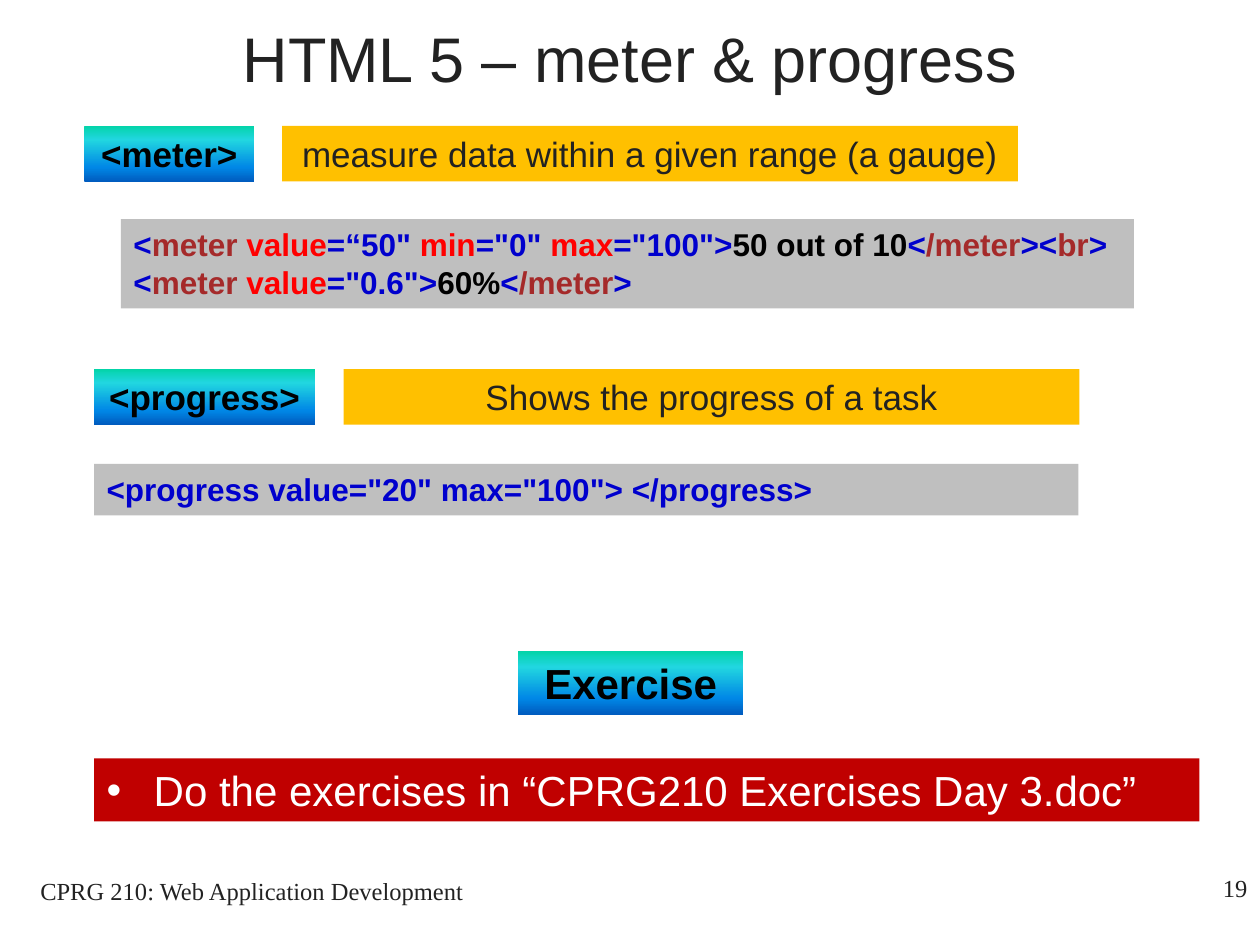
from copy import deepcopy
from dataclasses import dataclass
from typing import Optional

from lxml.etree import SubElement
from pptx import Presentation
from pptx.dml.color import RGBColor
from pptx.enum.shapes import MSO_SHAPE
from pptx.enum.text import MSO_ANCHOR, MSO_AUTO_SIZE, PP_ALIGN
from pptx.oxml.ns import qn
from pptx.util import Cm, Pt

COLORS = {
    "text": "222222", "black": "000000", "white": "FFFFFF",
    "amber": "FFC000", "gray": "BFBFBF", "red": "C00000",
    "symbol": "0000CD", "element": "A52A2A", "attribute": "FF0000",
}
TAG_GRADIENT = [(0, "03D4A8"), (25, "21D6E0"), (75, "0087E6"), (100, "005CBF")]
LEFT, CENTER, RIGHT = PP_ALIGN.LEFT, PP_ALIGN.CENTER, PP_ALIGN.RIGHT

METER_CODE = [
    ("<", "symbol"), ("meter", "element"), (" value", "attribute"),
    ("=“50\"", "symbol"), (" min", "attribute"), ("=\"0\"", "symbol"),
    (" max", "attribute"), ("=\"100\">", "symbol"), ("50 out of 10", "black"),
    ("<", "symbol"), ("/meter", "element"), ("><", "symbol"),
    ("br", "element"), (">\n<", "symbol"), ("meter", "element"),
    (" value", "attribute"), ("=\"0.6\">", "symbol"), ("60%", "black"),
    ("<", "symbol"), ("/meter", "element"), (">", "symbol"),
]
PROGRESS_CODE = [("<progress value=\"20\" max=\"100\"> </progress>", "symbol")]


@dataclass
class Style:
    size: int
    fill: Optional[str] = None  # a COLORS key, "gradient" or no fill
    bold: bool = False
    align: PP_ALIGN = CENTER
    font: str = "Arial"
    wrap: bool = True
    anchor: MSO_ANCHOR = MSO_ANCHOR.TOP
    bullet: bool = False


@dataclass
class Box:
    at: tuple  # left, top, width, height in cm
    runs: list
    style: Style


TITLE = Style(36, anchor=MSO_ANCHOR.MIDDLE)
TAG = Style(20, "gradient", bold=True, wrap=False)
HEADING = Style(24, "gradient", bold=True, wrap=False)
DESCRIPTION = Style(20, "amber")
CODE = Style(18, "gray", bold=True, align=LEFT)
TASK = Style(24, "red", align=LEFT, anchor=MSO_ANCHOR.MIDDLE, bullet=True)
FOOTER = Style(14, font="Times New Roman")
PAGE = Style(14, font="Times New Roman", align=RIGHT)

TITLE_BOX = Box((0, -0.43, 25.4, 3.18), [("HTML 5 – meter & progress", "text")], TITLE)
BOXES = [
    Box((20.12, 17.48, 5.28, 1.27), [("19", "text")], PAGE),
    Box((0, 17.53, 10.16, 1.27),
        [("CPRG 210: Web Application Development", "text")], FOOTER),
    Box((1.7, 2.54, 3.43, 1.12), [("<meter>", "black")], TAG),
    Box((5.69, 2.54, 14.83, 1.12),
        [("measure data within a given range (a gauge)", "text")], DESCRIPTION),
    Box((2.44, 4.42, 20.42, 1.8), METER_CODE, CODE),
    Box((1.9, 7.44, 4.45, 1.12), [("<progress>", "black")], TAG),
    Box((6.93, 7.44, 14.83, 1.12),
        [("Shows the progress of a task", "text")], DESCRIPTION),
    Box((1.9, 9.35, 19.84, 1.04), PROGRESS_CODE, CODE),
    Box((10.44, 13.13, 4.55, 1.27), [("Exercise", "black")], HEADING),
    Box((1.9, 15.29, 22.28, 1.27),
        [("Do the exercises in “CPRG210 Exercises Day 3.doc”", "white")], TASK),
]


def rgb(name: str) -> RGBColor:
    return RGBColor.from_string(COLORS[name])


def fill_gradient(fill) -> None:
    """Fill from top to bottom with the TAG_GRADIENT stops."""
    fill.gradient()
    fill.gradient_angle = 270
    stops = fill._xPr.find(qn("a:gradFill")).find(qn("a:gsLst"))
    first = deepcopy(stops[0])
    for stop in list(stops):
        stops.remove(stop)
    for pos, color in TAG_GRADIENT:
        gs = deepcopy(first)
        gs.set("pos", str(pos * 1000))
        gs.remove(gs[0])
        SubElement(gs, qn("a:srgbClr"), val=color)
        stops.append(gs)


def add_bullet(p) -> None:
    pPr = p._p.get_or_add_pPr()
    pPr.set("marL", str(Cm(0.95)))
    pPr.set("indent", str(-Cm(0.95)))
    SubElement(pPr, qn("a:buFont"), typeface="Arial")
    SubElement(pPr, qn("a:buChar"), char="•")


def write_text(sp, box: Box) -> None:
    style = box.style
    tf = sp.text_frame
    frame_format = {"word_wrap": style.wrap, "vertical_anchor": style.anchor,
                    "auto_size": MSO_AUTO_SIZE.NONE}
    for key, value in frame_format.items():
        setattr(tf, key, value)
    p = tf.paragraphs[0]
    p.alignment = style.align
    if style.bullet:
        add_bullet(p)
    font_format = {"name": style.font, "size": Pt(style.size), "bold": style.bold}
    for text, color in box.runs:
        for i, line in enumerate(text.split("\n")):
            if i:
                p.add_line_break()
            r = p.add_run()
            r.text = line
            for key, value in font_format.items():
                setattr(r.font, key, value)
            r.font.color.rgb = rgb(color)


def draw_box(s, box: Box) -> None:
    at = [Cm(v) for v in box.at]
    fill = box.style.fill
    if fill is None:
        sp = s.shapes.add_textbox(*at)
    else:
        sp = s.shapes.add_shape(MSO_SHAPE.RECTANGLE, *at)
        sp.shadow.inherit = False
        sp.line.fill.background()
        if fill == "gradient":
            fill_gradient(sp.fill)
        else:
            sp.fill.solid()
            sp.fill.fore_color.rgb = rgb(fill)
    write_text(sp, box)


def main() -> None:
    prs = Presentation()
    prs.slide_width, prs.slide_height = Cm(25.4), Cm(19.05)
    s = prs.slides.add_slide(prs.slide_layouts[5])
    title = s.shapes.title
    for key, value in zip(("left", "top", "width", "height"), TITLE_BOX.at):
        setattr(title, key, Cm(value))
    write_text(title, TITLE_BOX)
    for box in BOXES:
        draw_box(s, box)
    prs.save("out.pptx")


if __name__ == "__main__":
    main()
